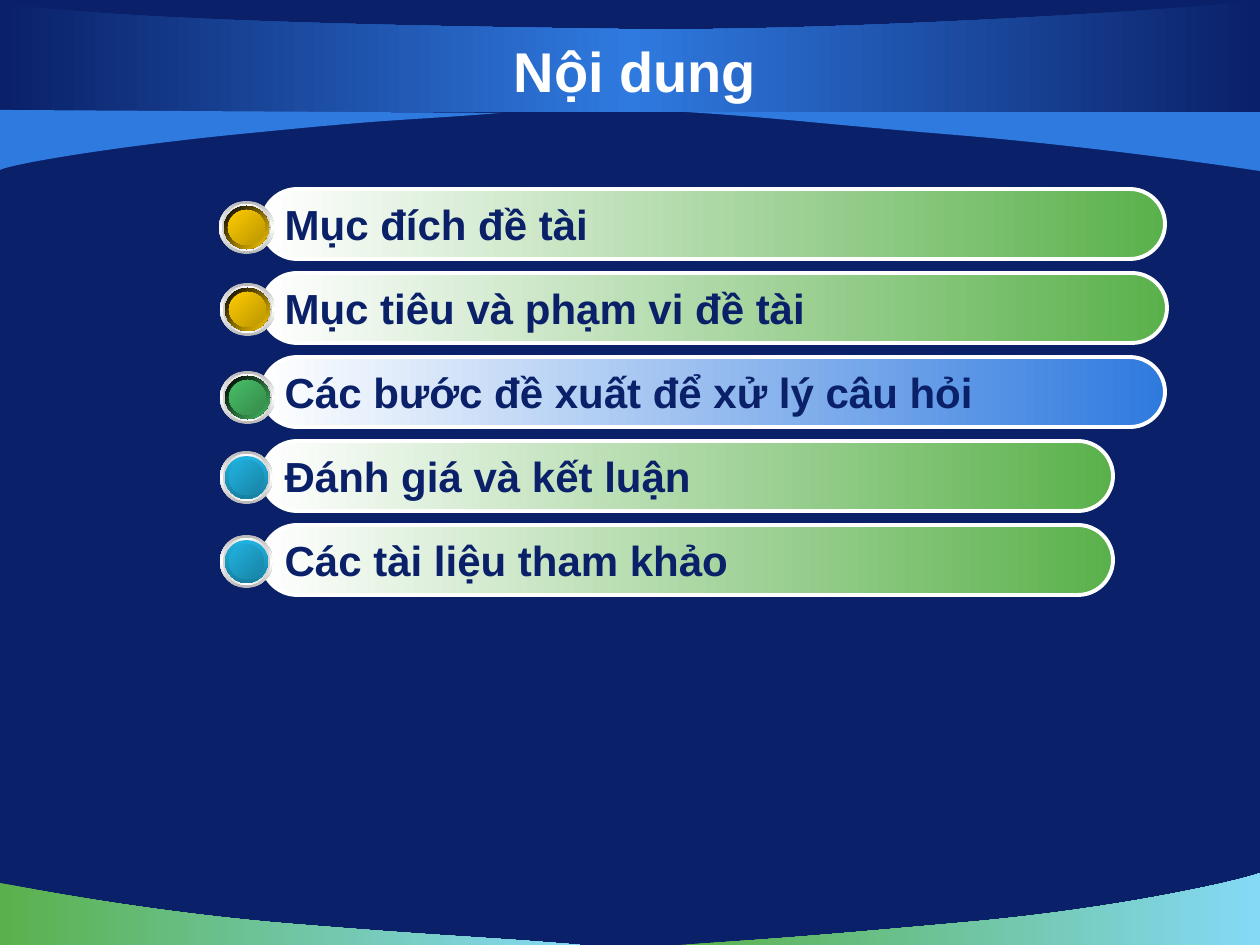
from lxml import etree
from pptx import Presentation
from pptx.dml.color import RGBColor
from pptx.enum import shapes, text
from pptx.oxml.ns import qn
from pptx.util import Pt

PX = 914400 / 126  # EMU in one px
COLORS = {
    "navy": "0A2068", "blue": "2F7ADF", "green": "5AB14B", "sky": "85D9F7",
    "white": "FFFFFF", "black": "000000", "steel": "B6B6B6", "silver": "D1D1D1",
    "gold": "FFCC00", "dark gold": "BA9500", "emerald": "48BE67",
    "dark emerald": "358B4B", "cyan": "21B3E1", "teal": "1880A1", "dark cyan": "1883A4",
}


def paint(shape, *names, angle=0):
    """Fill with one colour or an even clockwise gradient; drop line and shadow."""
    shape.shadow.inherit = False
    shape.line.fill.background()
    if len(names) == 1:
        shape.fill.solid()
        shape.fill.fore_color.rgb = RGBColor.from_string(COLORS[names[0]])
        return
    shape.fill.gradient()
    gradient = shape._element.spPr.find(qn("a:gradFill"))
    stops = gradient.find(qn("a:gsLst"))
    for stop in list(stops):
        stops.remove(stop)
    for i, name in enumerate(names):
        position = str(100000 * i // (len(names) - 1))
        stop = etree.SubElement(stops, qn("a:gs"), pos=position)
        etree.SubElement(stop, qn("a:srgbClr"), val=COLORS[name])
    gradient.find(qn("a:lin")).set("ang", str(angle * 60000))


def write(shape, words, size=24, color="navy", align=text.PP_ALIGN.LEFT, wrap=False):
    frame = shape.text_frame
    frame.auto_size = text.MSO_AUTO_SIZE.NONE
    frame.word_wrap = wrap
    frame.vertical_anchor = text.MSO_ANCHOR.MIDDLE
    para = frame.paragraphs[0]
    para.alignment = align
    span = para.add_run()
    span.text = words
    span.font.name = "Arial"
    span.font.size = Pt(size)
    span.font.bold = True
    span.font.color.rgb = RGBColor.from_string(COLORS[color])


deck = Presentation()
deck.slide_width, deck.slide_height = int(1260 * PX), int(945 * PX)
page = deck.slides.add_slide(deck.slide_layouts[5])
page.background.fill.solid()
page.background.fill.fore_color.rgb = RGBColor.from_string(COLORS["navy"])

# Bands: colours, two joined Bezier curves (seven points), then straight corners
bands = [
    (("green", "sky"), [(580, 945), (484, 937), (451, 937), (292, 924),
                        (134, 911), (1, 883), (0, 883)], [(0, 945)]),
    (("green", "sky"), [(679, 945), (774, 939), (814, 936), (969, 922),
                        (1124, 908), (1247, 879), (1260, 873)], [(1260, 945)]),
    (("blue",), [(685, 112), (781, 118), (809, 123), (968, 136),
                 (1126, 150), (1259, 171), (1260, 171)], [(1260, 111)]),
    (("navy", "blue", "navy"), [(1260, 0), (1215, 8), (823, 33), (614, 29),
                                (404, 26), (127, 21), (0, 3)], [(0, 112), (1260, 112)]),
    (("blue",), [(501, 113), (417, 120), (401, 118), (262, 132),
                 (122, 145), (11, 164), (0, 170)], [(0, 110)]),
]
for fill, curve, corners in bands:
    start, *rest = [(int(x * PX), int(y * PX)) for x, y in curve + corners]
    builder = page.shapes.build_freeform(*start, scale=1.0)
    builder.add_line_segments(rest, close=True)
    band = builder.convert_to_shape()
    paint(band, *fill)
    # Turn the first six segments into two cubic curves of three points each
    segments = list(band._element.iter(qn("a:lnTo")))
    for first in (0, 3):
        bezier = etree.Element(qn("a:cubicBezTo"))
        segments[first].addprevious(bezier)
        for segment in segments[first:first + 3]:
            bezier.append(segment[0])
            segment.getparent().remove(segment)

title = page.shapes.title
title.left, title.top, title.width, title.height = (
    int(n * PX) for n in (63, 31, 1144, 78))
write(title, "Nội dung", size=32, color="white", align=text.PP_ALIGN.CENTER, wrap=True)
page.shapes._spTree.append(title._element)  # bring in front of the bands

# Button looks: rim colours, rim angle, face colours
gold = (("black", "gold"), 45, ("gold", "dark gold"))
emerald = (("black", "emerald"), 45, ("emerald", "dark emerald"))
cyan = (("cyan", "teal"), 90, ("cyan", "dark cyan"))

# Words, bar width, bar colour, button left, top and width, button look
items = [
    ("Mục đích đề tài", 903, "green", 219, 201, 55, gold),
    ("Mục tiêu và phạm vi đề tài", 905, "green", 220, 283, 55, gold),
    ("Các bước đề xuất để xử lý câu hỏi", 903, "blue", 220, 371, 55, emerald),
    ("Đánh giá và kết luận", 851, "green", 220, 451, 53, cyan),
    ("Các tài liệu tham khảo", 851, "green", 220, 535, 53, cyan),
]
for row, (words, bar_width, color, left, top, width, look) in enumerate(items):
    bar = page.shapes.add_shape(
        shapes.MSO_SHAPE.ROUNDED_RECTANGLE,
        *(int(n * PX) for n in (262, 189 + 84 * row, bar_width, 70)))
    bar.adjustments[0] = 0.5
    paint(bar, "white", color)
    bar.line.color.rgb = RGBColor.from_string(COLORS["white"])
    bar.line.width = Pt(2.25)
    write(bar, words)

    rim, rim_angle, face = look
    button = page.shapes.add_group_shape()
    for inset, fill, angle in (
        (0, ("steel", "white", "steel"), 90),
        (3, ("silver", "white", "silver"), 0),
        (5, rim, rim_angle),
        (9, face, 45),
    ):
        disc = button.shapes.add_shape(
            shapes.MSO_SHAPE.OVAL,
            *(int(n * PX) for n in (left + inset, top + inset,
                                    width - 2 * inset, 53 - 2 * inset)))
        paint(disc, *fill, angle=angle)

deck.save("out.pptx")
